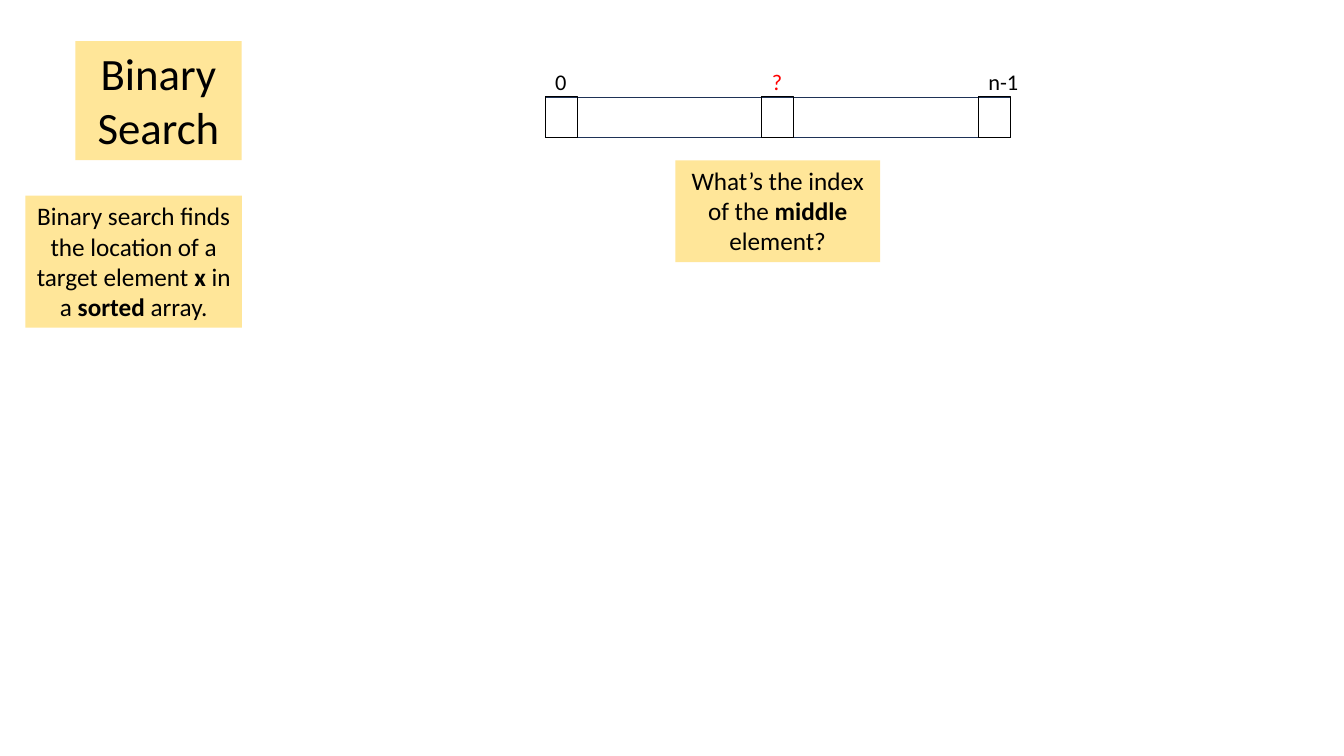
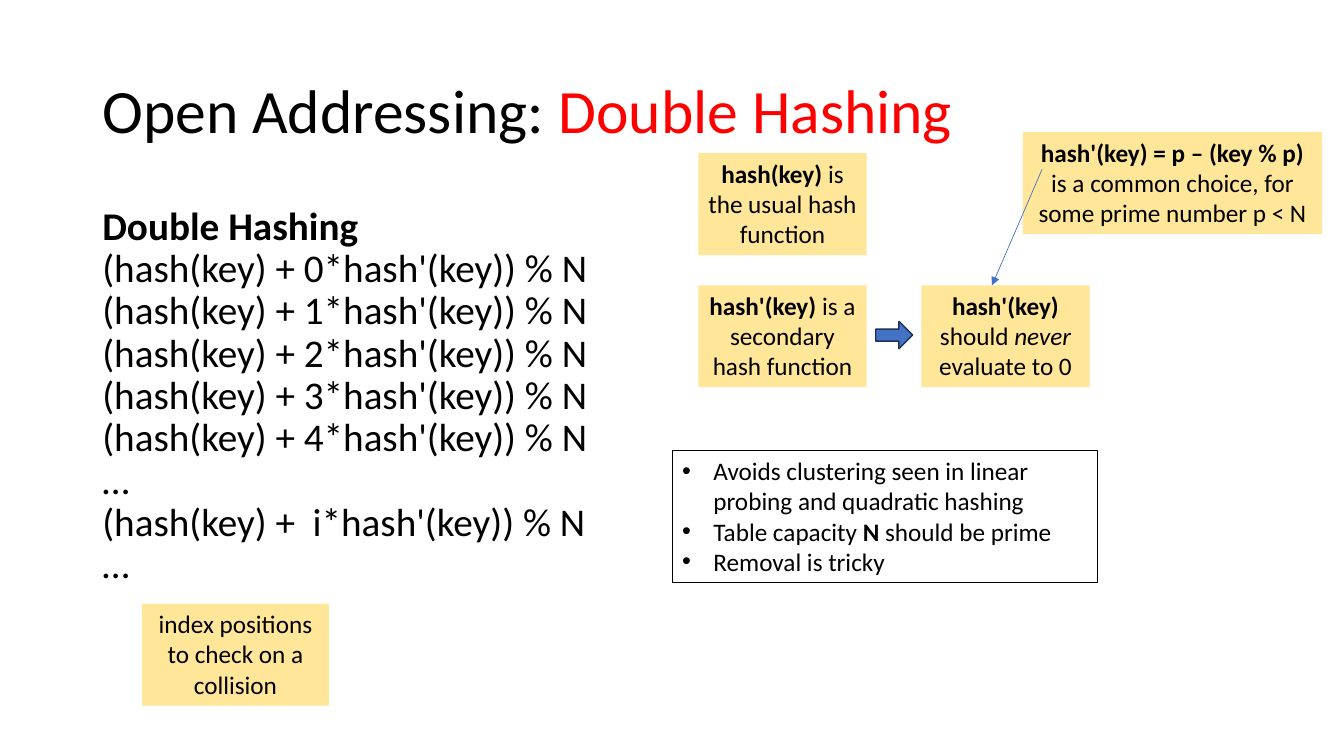
"""Build two lecture slides on binary search and double hashing."""
from lxml.etree import SubElement
from pptx import Presentation
from pptx.dml.color import RGBColor
from pptx.enum.shapes import MSO_CONNECTOR as Link, MSO_SHAPE as Shape
from pptx.enum.text import MSO_ANCHOR as Anchor, PP_ALIGN as Align
from pptx.oxml.ns import qn
from pptx.util import Cm, Pt

COLORS = {
    "note": "FFE699",
    "ink": "000000",
    "accent": "FF0000",
    "blue": "4472C4",
    "navy": "1E3256",
}
FONT = "Calibri"
NOTE_HEIGHT = 2.57
BOLD = {"bold": True}
ITALIC = {"italic": True}
RED = {"color": "accent"}


def color(name):
    return RGBColor.from_string(COLORS[name])


def paint(box, fill=None, line=None, width=0.75):
    if fill:
        box.fill.solid()
        box.fill.fore_color.rgb = color(fill)
    else:
        box.fill.background()
    if line:
        box.line.color.rgb = color(line)
        box.line.width = Pt(width)
    else:
        box.line.fill.background()


def add_spans(para, spans, size):
    for text, style in spans:
        span = para.add_run()
        span.text = text
        values = {"name": FONT, "size": Pt(size), "color": "ink", **style}
        span.font.color.rgb = color(values.pop("color"))
        for name, value in values.items():
            setattr(span.font, name, value)


def add_text(page, place, paras, size=18, wrap=True, anchor=Anchor.TOP, **layout):
    box = page.shapes.add_textbox(*map(Cm, place))
    frame = box.text_frame
    frame.word_wrap = wrap
    frame.vertical_anchor = anchor
    for index, spans in enumerate(paras):
        para = frame.paragraphs[0] if index == 0 else frame.add_paragraph()
        for name, value in layout.items():
            setattr(para, name, value)
        add_spans(para, spans, size)
    return box


def add_note(page, left, top, width, *spans, height=NOTE_HEIGHT, size=18):
    place = (left, top, width, height)
    box = add_text(page, place, [spans], size, alignment=Align.CENTER)
    paint(box, fill="note")


def add_bullets(page, place, items):
    box = add_text(page, place, items)
    paint(box, line="ink")
    for para in box.text_frame.paragraphs:
        properties = para._p.get_or_add_pPr()
        properties.set("marL", str(Cm(0.79)))
        properties.set("indent", str(-Cm(0.79)))
        SubElement(properties, qn("a:buFont")).set("typeface", "Arial")
        SubElement(properties, qn("a:buChar")).set("char", "•")


def add_shape(page, kind, place, **style):
    shape = page.shapes.add_shape(kind, *map(Cm, place))
    shape.shadow.inherit = False
    paint(shape, **style)
    return shape


def add_arrow_line(page, *ends):
    link = page.shapes.add_connector(Link.STRAIGHT, *map(Cm, ends))
    link.line.color.rgb = color("blue")
    link.line.width = Pt(0.5)
    SubElement(link.line._get_or_add_ln(), qn("a:tailEnd")).set("type", "triangle")
    SubElement(link._element.spPr, qn("a:effectLst"))


def add_array(page, left, top, width, labels):
    cell, height = 0.81, 1.02
    step = (width - cell) / (len(labels) - 1)
    add_shape(page, Shape.RECTANGLE, (left, top, width, height),
              line="navy", width=0.25)
    for index, (text, style) in enumerate(labels):
        x = left + index * step
        add_shape(page, Shape.RECTANGLE, (x, top, cell, height), line="ink")
        label_width = cell if len(text) == 1 else 1.57
        add_text(page, (x, top - 0.84, label_width, 0.94), [[(text, style)]],
                 size=16, wrap=False)


def build_binary_search(page):
    add_note(page, 1.9, 1.04, 4.19, ("Binary Search", {}), height=3, size=32)
    add_note(page, 0.64, 4.93, 5.46,
             ("Binary search finds the location of a target element ", {}),
             ("x", BOLD), (" in a ", {}), ("sorted", BOLD), (" array.", {}),
             height=3.33)
    add_array(page, 13.74, 2.44, 11.73, [("0", {}), ("?", RED), ("n-1", {})])
    add_note(page, 17.02, 4.04, 5.16, ("What’s the index of the ", {}),
             ("middle", BOLD), (" element?", {}))


def build_double_hashing(page):
    add_text(page, (2.33, 1.01, 29.21, 3.68),
             [[("Open Addressing: ", {}), ("Double Hashing", RED)]],
             size=44, anchor=Anchor.MIDDLE, line_spacing=0.9)

    probes = [f"(hash(key) + {step}*hash'(key)) % N" for step in range(5)]
    lines = probes + ["…", "(hash(key) +  i*hash'(key)) % N", "…"]
    body = add_text(page, (2.33, 5.07, 13.23, 12.09),
                    [[("Double Hashing", BOLD)]] + [[(line, {})] for line in lines],
                    size=28, line_spacing=0.9)
    body.text_frame.paragraphs[0].space_before = Pt(10)

    add_bullets(page, (16.94, 11.35, 10.72, 3.33), [
        [("Avoids clustering seen in linear probing and quadratic hashing", {})],
        [("Table capacity ", {}), ("N", BOLD), (" should be prime", {})],
        [("Removal is tricky", {})],
    ])

    add_note(page, 17.6, 3.86, 4.24, ("hash(key)", BOLD),
             (" is the usual hash function", {}))
    add_note(page, 17.6, 7.19, 4.24, ("hash'(key)", BOLD),
             (" is a secondary hash function", {}))
    add_note(page, 23.22, 7.19, 4.24, ("hash'(key)", BOLD), (" should ", {}),
             ("never", ITALIC), (" evaluate to 0", {}))
    add_note(page, 25.78, 3.33, 7.54, ("hash'(key) = p – (key % p)", BOLD),
             (" is a common choice, for some prime number p < N", {}))
    add_note(page, 3.58, 15.21, 4.71,
             ("index positions to check on a collision", {}))

    arrow = add_shape(page, Shape.RIGHT_ARROW, (22.07, 8.1, 0.93, 0.69),
                      fill="blue", line="navy", width=1)
    arrow.adjustments[0] = 0.44
    add_arrow_line(page, 26.26, 4.27, 25, 7.19)


def main():
    deck = Presentation()
    deck.slide_width, deck.slide_height = Cm(33.87), Cm(19.05)
    for build in (build_binary_search, build_double_hashing):
        build(deck.slides.add_slide(deck.slide_layouts[6]))
    deck.save("out.pptx")


if __name__ == "__main__":
    main()
